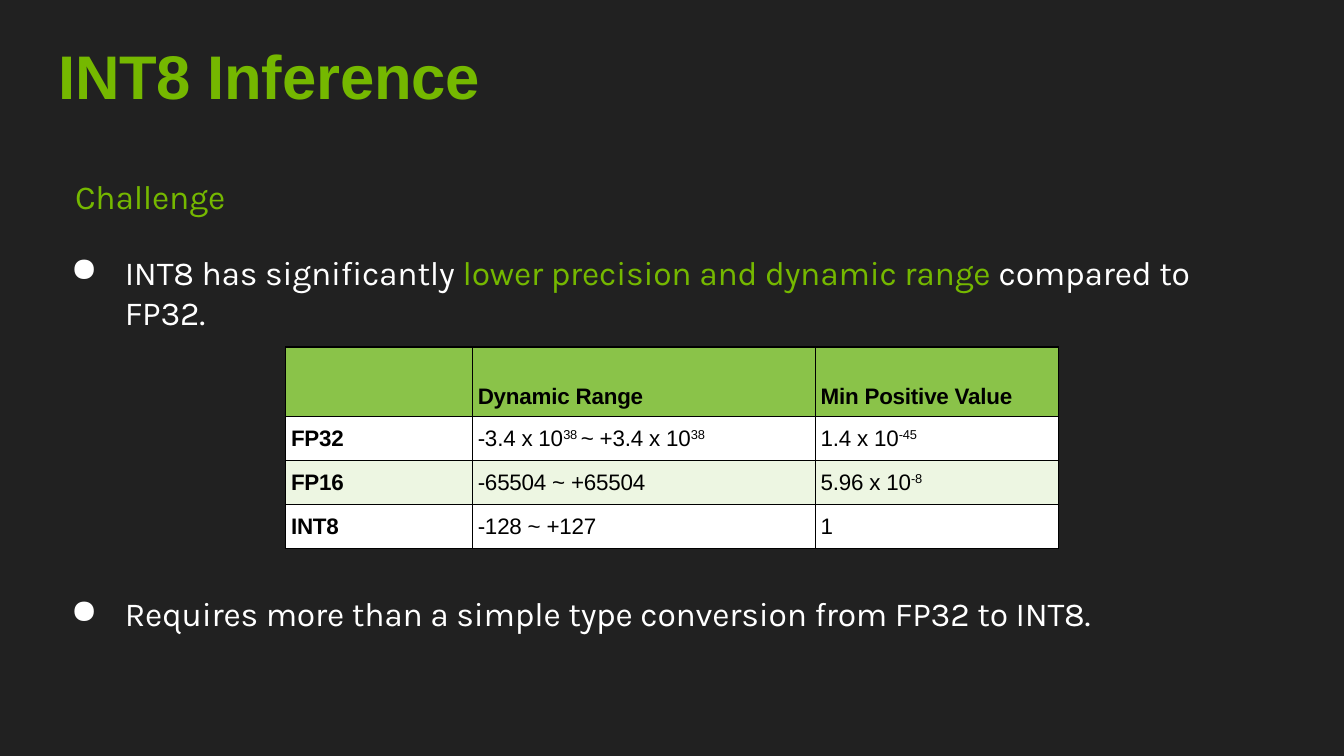
from lxml import etree
from pptx import Presentation
from pptx.dml.color import RGBColor
from pptx.enum.text import MSO_ANCHOR, MSO_AUTO_SIZE, PP_ALIGN
from pptx.oxml.ns import qn
from pptx.util import Cm, Pt

TOP, MIDDLE, BOTTOM = MSO_ANCHOR.TOP, MSO_ANCHOR.MIDDLE, MSO_ANCHOR.BOTTOM
LEFT = PP_ALIGN.LEFT
NO_AUTOFIT = MSO_AUTO_SIZE.NONE
TITLE_ONLY = 5

COLORS = {
    "background": "212121",
    "accent": "75B800",
    "text": "FFFFFF",
    "cell_text": "000000",
    "border": "000000",
    "header": "8AC349",
    "row": "FFFFFF",
    "band": "EDF6E2",
}

TABLE_ROWS = [
    ["", "Dynamic Range", "Min Positive Value"],
    ["FP32", "-3.4 x 10^38 ^~ +3.4 x 10^38", "1.4 x 10^-45"],
    ["FP16", "-65504 ~ +65504", "5.96 x 10^-8"],
    ["INT8", "-128 ~ +127", "1"],
]
ROW_FILLS = ["header", "row", "band", "row"]
COL_WIDTHS = [3.53, 6.48, 4.6]
ROW_HEIGHTS = [1.32, 0.83, 0.83, 0.83]


def rgb(name):
    """Return the palette colour as an RGBColor."""
    return RGBColor.from_string(COLORS[name])


def add_run(p, text, font="Karla", size=18, color="text", bold=False, raised=False):
    """Add one formatted run to a paragraph."""
    r = p.add_run()
    r.text = text
    r.font.name, r.font.size, r.font.bold = font, Pt(size), bold
    r.font.color.rgb = rgb(color)
    rPr = r.font._element
    rPr.set("spc", "-10")
    if raised:
        rPr.set("baseline", "31000")


def add_marked(p, text, marked, **fmt):
    """Add text whose parts between ^ marks take the marked format."""
    for i, part in enumerate(text.split("^")):
        if part:
            add_run(p, part, **{**fmt, **(marked if i % 2 else {})})


def set_frame(tf):
    """Give a text frame tight margins and top-anchored wrapping text."""
    tf.margin_left = tf.margin_right = tf.margin_bottom = 0
    tf.margin_top = Cm(0.03)
    tf.word_wrap = True
    tf.auto_size = NO_AUTOFIT
    tf.vertical_anchor = TOP


def set_paragraph(p, indent=0.0, before=1, bullet=False):
    """Set indent, space before and an optional hanging bullet."""
    p.alignment = LEFT
    p.space_before = Pt(before)
    pPr = p._p.get_or_add_pPr()
    pPr.set("marL", str(Cm(indent)))
    pPr.set("indent", str(Cm(-1.02 if bullet else 0)))
    if bullet:
        etree.SubElement(pPr, qn("a:buChar")).set("char", "●")


def add_title(slide, text):
    """Place and format the title placeholder."""
    sp = slide.shapes.title
    sp.left, sp.top, sp.width, sp.height = Cm(1.07), Cm(0.69), Cm(8.1), Cm(1.47)
    set_frame(sp.text_frame)
    p = sp.text_frame.paragraphs[0]
    set_paragraph(p, 0.03)
    add_run(p, text, font="Arial", size=33, color="accent", bold=True)


def add_text_box(slide, top, width, height):
    """Add an empty body text box and return its text frame."""
    sp = slide.shapes.add_textbox(Cm(1.32), Cm(top), Cm(width), Cm(height))
    set_frame(sp.text_frame)
    return sp.text_frame


def add_bullet(p, text, before=1):
    """Fill a paragraph as a bullet with accent-coloured marked words."""
    set_paragraph(p, 1.04, before, bullet=True)
    add_marked(p, text, {"color": "accent"})


def style_cell(cell, fill, anchor):
    """Set borders, fill, margins and anchor of a table cell."""
    tcPr = cell._tc.get_or_add_tcPr()
    for side in ("lnL", "lnR", "lnT", "lnB"):
        ln = etree.SubElement(tcPr, qn(f"a:{side}"), w=str(Pt(0.75)))
        solid = etree.SubElement(ln, qn("a:solidFill"))
        etree.SubElement(solid, qn("a:srgbClr"), val=COLORS["border"])
    cell.fill.solid()
    cell.fill.fore_color.rgb = rgb(fill)
    cell.margin_left = Cm(0.1)
    cell.margin_right = cell.margin_top = 0
    cell.margin_bottom = Cm(0.15) if anchor == BOTTOM else 0
    cell.vertical_anchor = anchor


def add_range_table(slide):
    """Add the table of number formats and their ranges."""
    frame = slide.shapes.add_table(
        len(TABLE_ROWS), len(COL_WIDTHS), Cm(5.4), Cm(6.56),
        Cm(sum(COL_WIDTHS)), Cm(sum(ROW_HEIGHTS)))
    table = frame.table
    table.first_row = table.horz_banding = False
    for column, width in zip(table.columns, COL_WIDTHS):
        column.width = Cm(width)
    for i, texts in enumerate(TABLE_ROWS):
        table.rows[i].height = Cm(ROW_HEIGHTS[i])
        for j, text in enumerate(texts):
            cell = table.cell(i, j)
            style_cell(cell, ROW_FILLS[i], MIDDLE if i else BOTTOM)
            add_marked(cell.text_frame.paragraphs[0], text, {"raised": True},
                       font="Arial", size=12, color="cell_text",
                       bold=i == 0 or j == 0)


def main():
    """Build the slide and save it."""
    prs = Presentation()
    prs.slide_width, prs.slide_height = Cm(25.4), Cm(14.29)
    slide = prs.slides.add_slide(prs.slide_layouts[TITLE_ONLY])
    slide.background.fill.solid()
    slide.background.fill.fore_color.rgb = rgb("background")

    add_title(slide, "INT8 Inference")
    tf = add_text_box(slide, 3.3, 22.8, 2.26)
    p = tf.paragraphs[0]
    set_paragraph(p, 0.1)
    add_run(p, "Challenge", color="accent")
    add_bullet(tf.add_paragraph(),
               "INT8 has significantly ^lower precision and dynamic range ^"
               "compared to FP32.", before=18.9)
    tf = add_text_box(slide, 11.18, 19.5, 0.84)
    add_bullet(tf.paragraphs[0],
               "Requires more than a simple type conversion from FP32 to INT8.")
    add_range_table(slide)
    prs.save("out.pptx")


if __name__ == "__main__":
    main()
